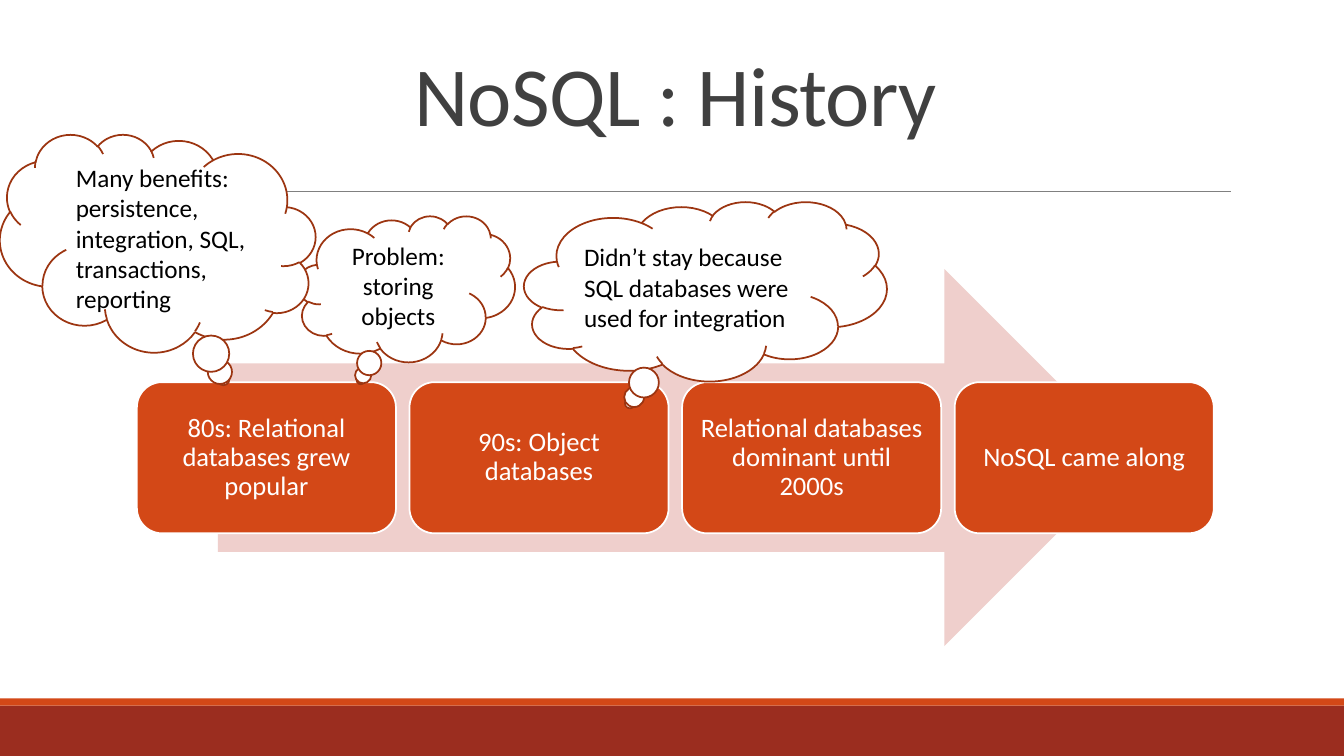
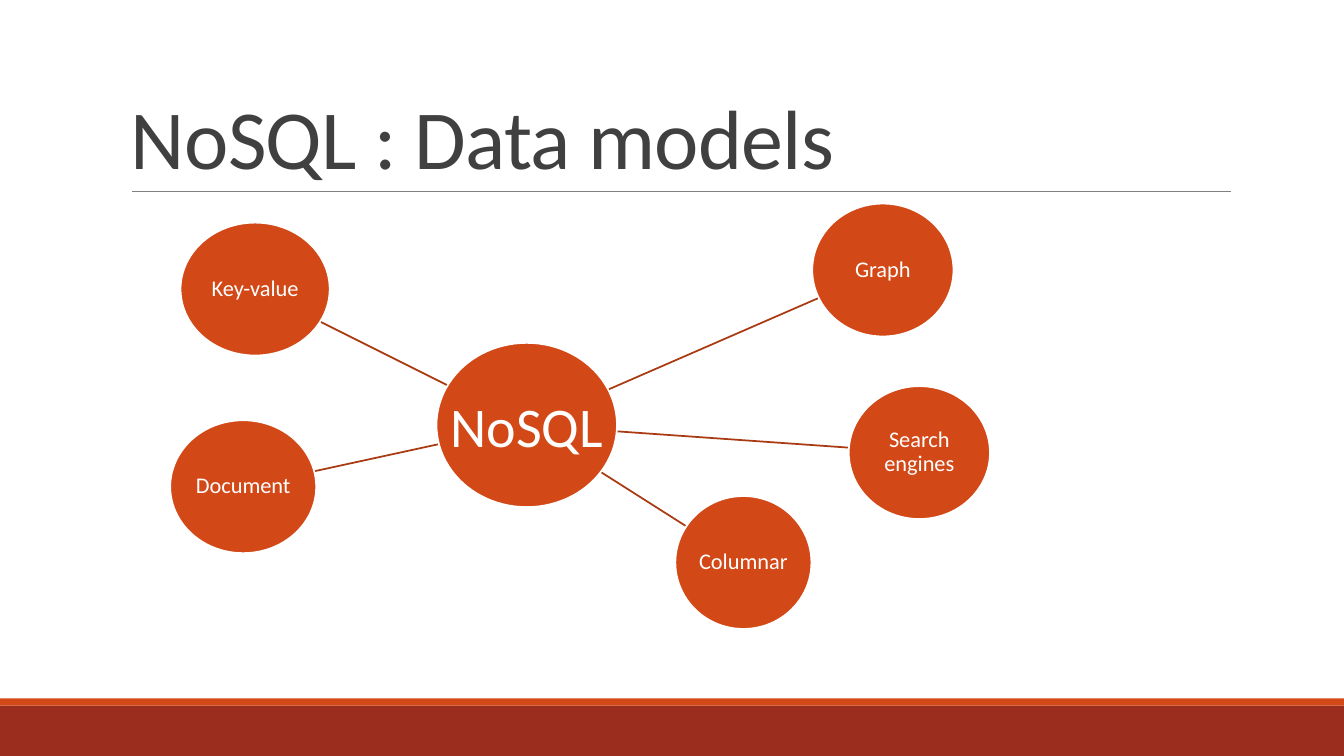
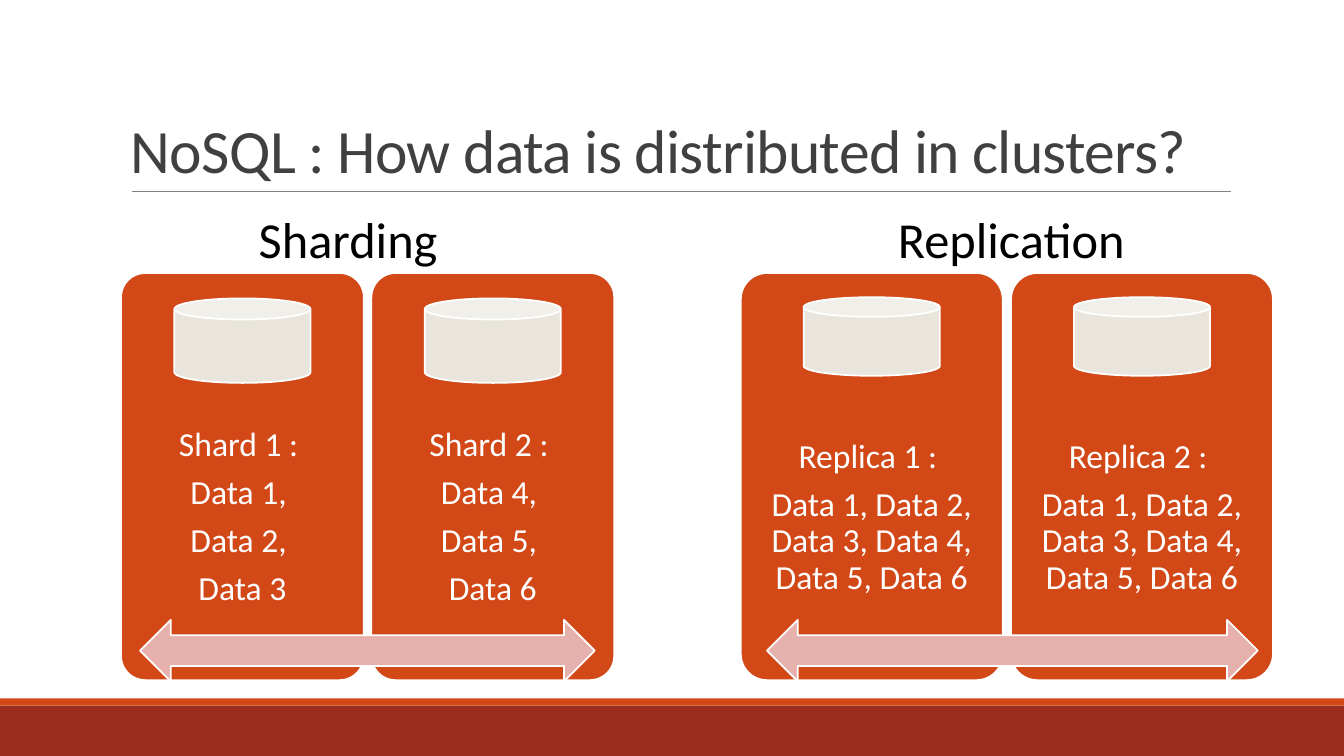
from math import hypot

from lxml import etree
from pptx import Presentation
from pptx.dml.color import RGBColor
from pptx.enum.shapes import MSO_CONNECTOR, MSO_SHAPE
from pptx.enum.text import MSO_ANCHOR, PP_ALIGN
from pptx.oxml.ns import qn
from pptx.util import Cm, Pt

FONT = "Calibri"
WHITE = RGBColor(0xFF, 0xFF, 0xFF)
BLACK = RGBColor(0x00, 0x00, 0x00)
DARK = RGBColor(0x40, 0x40, 0x40)
GRAY = RGBColor(0x80, 0x80, 0x80)
BRICK = RGBColor(0x9B, 0x2D, 0x1F)
ORANGE = RGBColor(0xD3, 0x48, 0x17)
RUST = RGBColor(0x9C, 0x35, 0x11)
SPOKE = RGBColor(0xA9, 0x3A, 0x12)
PINK = RGBColor(0xEF, 0xCF, 0xCC)
ROSE = RGBColor(0xE6, 0xB1, 0xAC)
SAND = RGBColor(0xE9, 0xE5, 0xDC)

RECT = MSO_SHAPE.RECTANGLE
ROUND = MSO_SHAPE.ROUNDED_RECTANGLE
OVAL = MSO_SHAPE.OVAL
ARROW = MSO_SHAPE.RIGHT_ARROW
DOUBLE = MSO_SHAPE.LEFT_RIGHT_ARROW
CLOUD = MSO_SHAPE.CLOUD_CALLOUT
CAN = MSO_SHAPE.CAN
STRAIGHT = MSO_CONNECTOR.STRAIGHT
LEFT = PP_ALIGN.LEFT
CENTER = PP_ALIGN.CENTER
TOP = MSO_ANCHOR.TOP
MIDDLE = MSO_ANCHOR.MIDDLE
BOTTOM = MSO_ANCHOR.BOTTOM

WIDTH, HEIGHT = 33.87, 19.05
NODE_TALL = 3.35
HUB_START = 1.12


def write(shape, text, size=18, color=WHITE, align=CENTER, anchor=MIDDLE,
          insets=(0.25, 0.13, 0.25, 0.13), wrap=True, lead=None, after=0,
          track=None):
    frame = shape.text_frame
    frame.word_wrap = wrap
    frame.vertical_anchor = anchor
    (frame.margin_left, frame.margin_top,
     frame.margin_right, frame.margin_bottom) = map(Cm, insets)
    for index, line in enumerate(text.split("\n")):
        para = frame.add_paragraph() if index else frame.paragraphs[0]
        para.alignment = align
        para.space_after = Pt(after)
        if lead:
            para.line_spacing = lead
        run = para.add_run()
        run.text = line
        run.font.name = FONT
        run.font.size = Pt(size)
        run.font.color.rgb = color
        if track:
            run.font._element.set("spc", str(track))


def draw(slide, kind, box, fill, line=None):
    shape = slide.shapes.add_shape(kind, *map(Cm, box))
    shape.shadow.inherit = False
    shape.fill.solid()
    shape.fill.fore_color.rgb = fill
    if line is None:
        shape.line.fill.background()
    else:
        shape.line.color.rgb = line
        shape.line.width = Pt(1.25)
    return shape


def label(slide, text, box, **style):
    write(slide.shapes.add_textbox(*map(Cm, box)), text, **style)


def link(slide, start, end, color, width):
    line = slide.shapes.add_connector(STRAIGHT, *map(Cm, (*start, *end)))
    line.line.color.rgb = color
    line.line.width = Pt(width)
    etree.SubElement(line.element.spPr, qn("a:effectLst"))


def add_page(deck, title, size=60, align=LEFT, top=0.79):
    slide = deck.slides.add_slide(deck.slide_layouts[6])
    draw(slide, RECT, (0, 17.78, WIDTH, 1.27), BRICK)
    draw(slide, RECT, (0, 17.6, WIDTH, 0.18), ORANGE)
    link(slide, (3.33, 4.83), (31.01, 4.83), GRAY, 0.5)
    label(slide, title, (3.05, top, 27.94, 4.04), size=size, color=DARK,
          align=align, anchor=BOTTOM, lead=0.85, track=-50)
    return slide


def add_cloud(slide, text, box, align=LEFT, flip=False):
    cloud = draw(slide, CLOUD, box, WHITE, RUST)
    if flip:
        cloud.element.spPr.xfrm.set("flipH", "1")
    write(cloud, text, color=BLACK, align=align)


def add_node(slide, text, box, hub):
    left, top, wide, tall = box
    hub_x, hub_y = hub[0] + hub[2] / 2, hub[1] + hub[3] / 2
    run, rise = left + wide / 2 - hub_x, top + tall / 2 - hub_y
    first = HUB_START / abs(run)
    last = 1 - 1 / hypot(2 * run / wide, 2 * rise / tall)
    start, end = [(hub_x + part * run, hub_y + part * rise)
                  for part in (first, last)]
    link(slide, start, end, SPOKE, 1.25)
    node = draw(slide, OVAL, box, ORANGE, WHITE)
    write(node, text, size=16, insets=(0.03,) * 4, lead=0.9, after=5.6)


def add_cluster(slide, name, head, texts, left, wide, step, can, arrow):
    for index, text in enumerate(texts):
        x = left + index * step
        card = draw(slide, ROUND, (x, 6.88, wide, 10.26), ORANGE, WHITE)
        card.adjustments[0] = 0.1
        write(card, text, size=24, insets=(0.3, 2.54, 0.3, 0.46), lead=0.9,
              after=8.4)
        top, tall = can
        draw(slide, CAN, (x + (wide - 3.43) / 2, top, 3.43, tall), SAND, WHITE)
    start, span = arrow
    draw(slide, DOUBLE, (start, 15.62, span, 1.55), ROSE, WHITE)
    x, span = head
    label(slide, name, (x, 5.11, span, 1.8), size=36, color=BLACK, align=LEFT,
          anchor=TOP, wrap=False)


def add_history(deck):
    slide = add_page(deck, "NoSQL : History", align=CENTER, top=-0.3)
    draw(slide, ARROW, (5.49, 6.78, 23.06, 9.5), PINK)
    steps = ("80s: Relational databases grew popular", "90s: Object databases",
             "Relational databases dominant until 2000s", "NoSQL came along")
    for index, text in enumerate(steps):
        box = (3.45 + index * 6.87, 9.63, 6.53, 3.81)
        write(draw(slide, ROUND, box, ORANGE, WHITE), text, size=19,
              insets=(0.2,) * 4, lead=0.9, after=6.65)
    add_cloud(slide, "Problem: storing objects", (7.49, 5.44, 5.49, 3.68),
              align=CENTER)
    add_cloud(slide, "Many benefits: persistence, integration, SQL, "
              "transactions, reporting", (0, 3.38, 7.95, 5.49), flip=True)
    add_cloud(slide, "Didn’t stay because SQL databases were used for "
              "integration", (13.21, 5.08, 9.14, 4.52))


def add_models(deck):
    slide = add_page(deck, "NoSQL : Data models")
    hub = (11, 8.64, 4.55, 4.14)
    nodes = (("Key-value", 4.55, 5.61, 3.76), ("Document", 4.29, 10.59, 3.68),
             ("Graph", 20.47, 5.13, 3.56),
             ("Search engines", 21.39, 9.73, 3.56),
             ("Columnar", 17.02, 12.5, 3.43))
    for text, left, top, wide in nodes:
        add_node(slide, text, (left, top, wide, NODE_TALL), hub)
    write(draw(slide, OVAL, hub, ORANGE, WHITE), "NoSQL", size=40, wrap=False)


def add_clusters(deck):
    slide = add_page(deck, "NoSQL : How data is distributed in clusters?",
                     size=44)
    shards = ("Shard 1 : \nData 1, \nData 2, \nData 3",
              "Shard 2 : \nData 4, \nData 5, \nData 6")
    copies = [f"Replica {number} : \nData 1, Data 2, Data 3, Data 4, "
              "Data 5, Data 6" for number in (1, 2)]
    add_cluster(slide, "Sharding", (6.27, 5.05), shards, left=3.05, wide=6.12,
                step=6.31, can=(7.52, 2.13), arrow=(3.53, 11.46))
    add_cluster(slide, "Replication", (22.38, 6.3), copies, left=18.67,
                wide=6.6, step=6.81, can=(7.49, 1.98), arrow=(19.33, 12.37))


def main():
    deck = Presentation()
    deck.slide_width, deck.slide_height = Cm(WIDTH), Cm(HEIGHT)
    add_history(deck)
    add_models(deck)
    add_clusters(deck)
    deck.save("out.pptx")


main()
